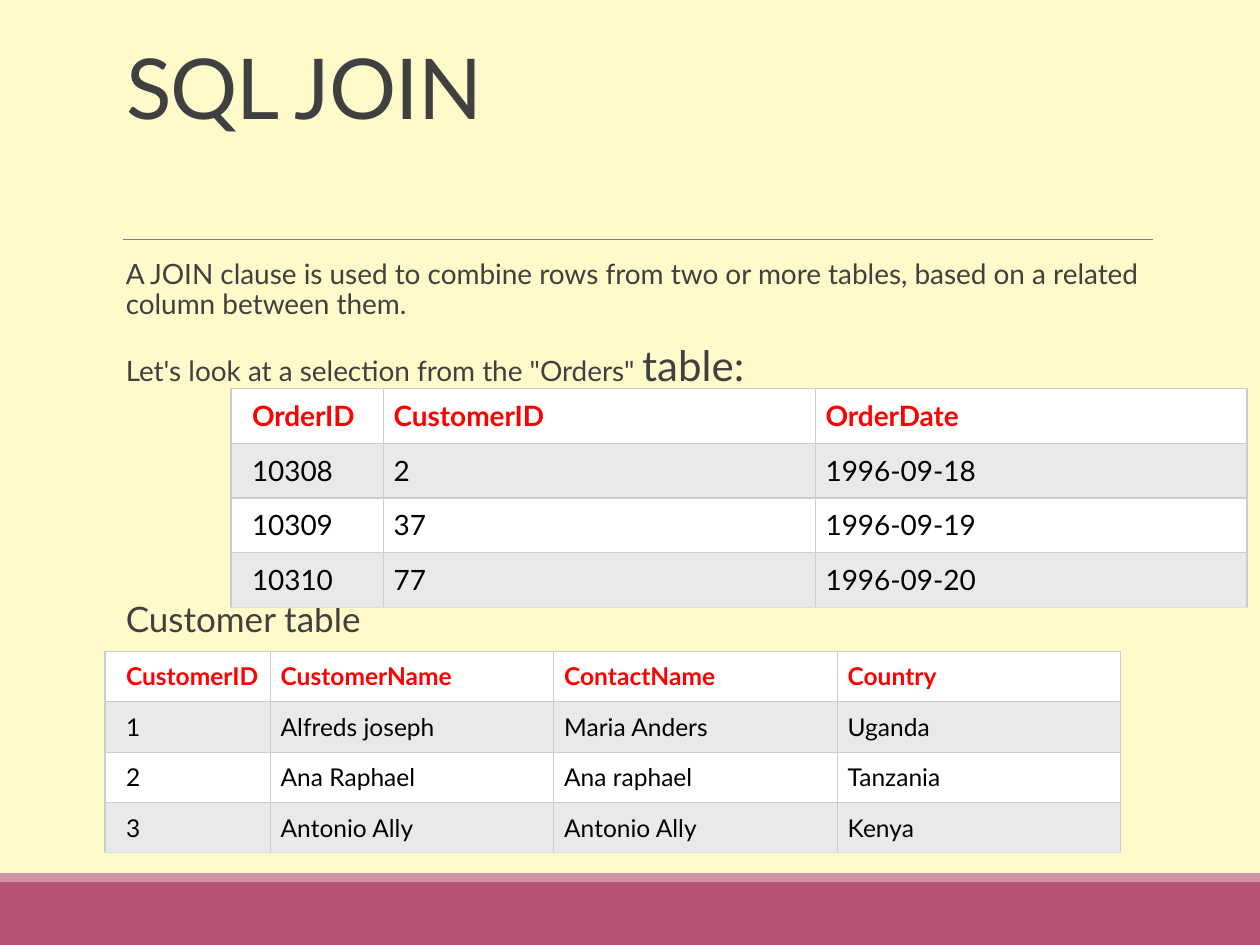
from lxml.etree import SubElement as Sub
from pptx import Presentation
from pptx.dml.color import RGBColor as RGB
from pptx.enum.shapes import MSO_CONNECTOR as Conn, MSO_SHAPE as Geo
from pptx.enum.text import MSO_ANCHOR as Anchor, PP_ALIGN as Align
from pptx.oxml.ns import qn
from pptx.util import Pt

CREAM = RGB(0xFE, 0xFA, 0xC9)
ROSE = RGB(0xB5, 0x54, 0x75)
PINK = RGB(0xD0, 0x92, 0xA7)
GRAY = RGB(0x80, 0x80, 0x80)
DARK = RGB(0x40, 0x40, 0x40)
RED = RGB(0xFF, 0, 0)
BLACK = RGB(0, 0, 0)
WHITE = RGB(0xFF, 0xFF, 0xFF)
PALE = RGB(0xE7, 0xE9, 0xEB)
EDGE = RGB(0xCC, 0xCC, 0xCC)
BASE = RGB(0xDD, 0xDD, 0xDD)
FONT = "Lato"

INTRO = [
    (12, [("A\u00a0JOIN\u00a0clause is used to combine rows from two or more tables, "
           "based on a related column between them.".replace("\u00a0", " "), 16)]),
    (12, [("Let's look at a selection from the \"Orders\" ", 16), ("table:", 24)]),
    (119, [("Customer table", 20)]),
]
ORDERS = [
    ("OrderID", "CustomerID", "OrderDate"),
    ("10308", "2", "1996-09-18"),
    ("10309", "37", "1996-09-19"),
    ("10310", "77", "1996-09-20"),
]
CLIENTS = [
    ("CustomerID", "CustomerName", "ContactName", "Country"),
    ("1", "Alfreds joseph", "Maria Anders", "Uganda"),
    ("2", "Ana Raphael", "Ana raphael", "Tanzania"),
    ("3", "Antonio Ally", "Antonio Ally", "Kenya"),
]


def add_run(para, text, size, color, bold=False):
    run = para.add_run()
    run.text = text
    font = run.font
    font.name, font.size, font.bold = FONT, Pt(size), bold
    font.color.rgb = color
    return run


def add_band(slide, top, height, color):
    band = slide.shapes.add_shape(Geo.RECTANGLE, 0, Pt(top), Pt(720), Pt(height))
    band.shadow.inherit = False
    band.fill.solid()
    band.fill.fore_color.rgb = color
    band.line.fill.background()


def add_rule(slide, left, right, top):
    rule = slide.shapes.add_connector(Conn.STRAIGHT, Pt(left), Pt(top), Pt(right), Pt(top))
    rule.line.color.rgb = GRAY
    rule.line.width = Pt(0.5)
    Sub(rule._element.spPr, qn("a:effectLst"))


def set_title(slide, text):
    title = slide.shapes.title
    title.left, title.top, title.width, title.height = Pt(64.8), Pt(22.3), Pt(594), Pt(114.5)
    frame = title.text_frame
    frame.word_wrap = True
    frame.vertical_anchor = Anchor.BOTTOM
    frame.margin_bottom = Pt(59)
    para = frame.paragraphs[0]
    para.alignment = Align.LEFT
    para.line_spacing = 0.85
    run = add_run(para, text, 48, DARK)
    run.font._element.set("spc", "-50")


def add_body(slide, paras):
    box = slide.shapes.add_textbox(Pt(64.8), Pt(145.4), Pt(594), Pt(316.8))
    frame = box.text_frame
    frame.word_wrap = True
    frame.margin_left, frame.margin_right = Pt(7.2), 0
    for i, (gap, runs) in enumerate(paras):
        para = frame.add_paragraph() if i else frame.paragraphs[0]
        para.line_spacing = 0.9
        para.space_before, para.space_after = Pt(gap), Pt(2)
        for text, size in runs:
            add_run(para, text, size, DARK)


def set_edges(cell, last):
    props = cell._tc.get_or_add_tcPr()
    for side in "LRTB":
        line = Sub(props, qn("a:ln" + side), w=str(Pt(0.75)))
        color = BASE if last and side == "B" else EDGE
        Sub(Sub(line, qn("a:solidFill")), qn("a:srgbClr"), val=str(color))


def add_grid(slide, left, top, widths, height, size, data):
    frame = slide.shapes.add_table(len(data), len(widths), Pt(left), Pt(top),
                                   Pt(sum(widths)), Pt(height * len(data)))
    table = frame.table
    table.first_row = table.horz_banding = False
    for col, width in zip(table.columns, widths):
        col.width = Pt(width)
    for r, texts in enumerate(data):
        table.rows[r].height = Pt(height)
        for c, text in enumerate(texts):
            cell = table.cell(r, c)
            cell.margin_left = Pt(6 if c else 12)
            cell.margin_right = cell.margin_top = cell.margin_bottom = Pt(6)
            set_edges(cell, r == len(data) - 1)
            cell.fill.solid()
            cell.fill.fore_color.rgb = PALE if r % 2 else WHITE
            add_run(cell.text_frame.paragraphs[0], text, size, BLACK if r else RED, r == 0)


def main():
    deck = Presentation()
    deck.slide_width, deck.slide_height = Pt(720), Pt(540)
    slide = deck.slides.add_slide(deck.slide_layouts[5])
    back = slide.background.fill
    back.solid()
    back.fore_color.rgb = CREAM
    add_band(slide, 504, 36, ROSE)
    add_band(slide, 499, 5, PINK)
    add_rule(slide, 70.5, 659, 136.8)
    set_title(slide, "SQL JOIN")
    add_body(slide, INTRO)
    add_grid(slide, 132, 222.2, [87] + [246.8] * 2, 31.1, 16, ORDERS)
    add_grid(slide, 60, 372.2, [94.4] + [162] * 3, 28.7, 14, CLIENTS)
    deck.save("out.pptx")


if __name__ == "__main__":
    main()
